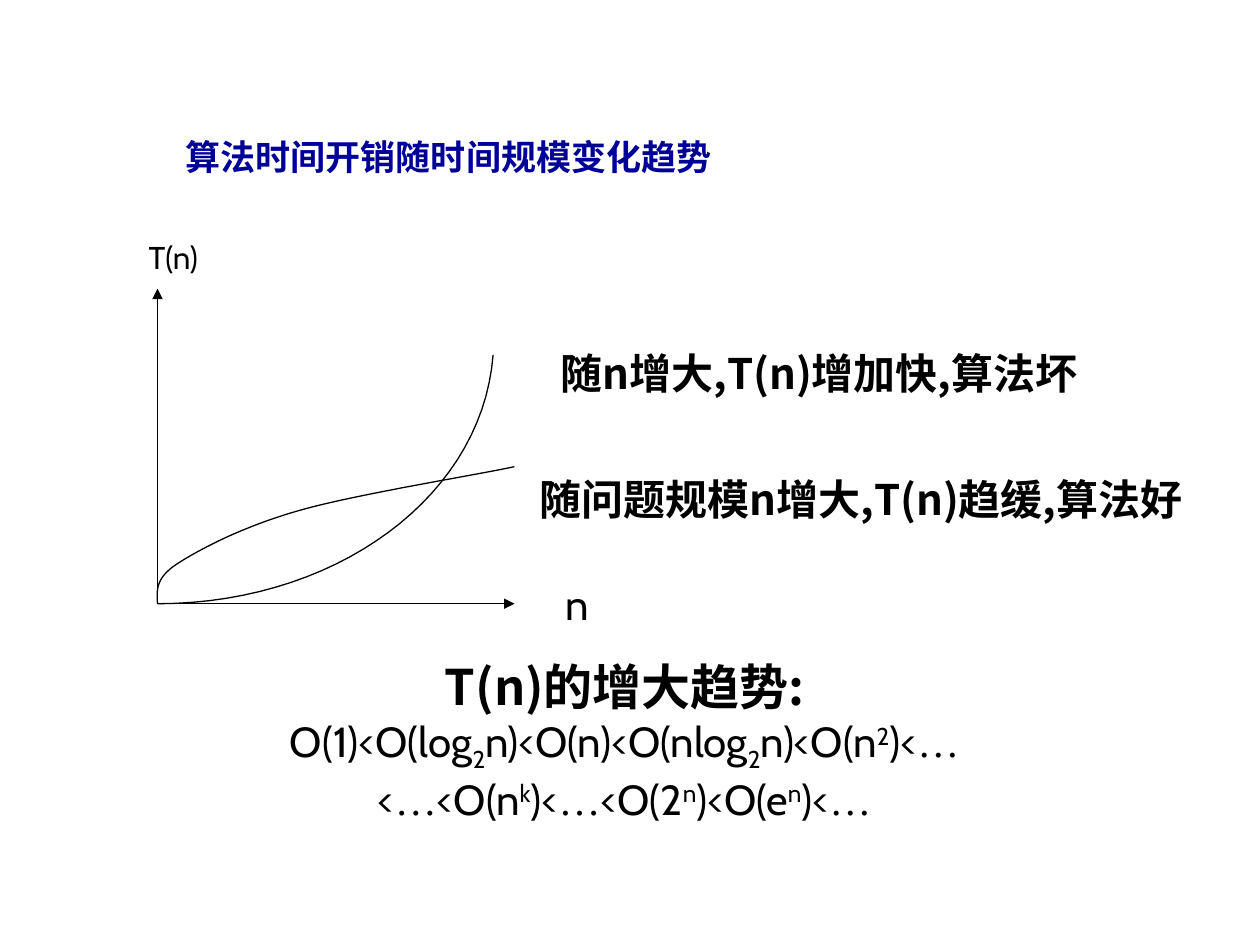
from lxml import etree
from pptx import Presentation, util as u
from pptx.dml.color import RGBColor
from pptx.enum import shapes as es, text as et
from pptx.oxml.ns import qn

NAVY = RGBColor(0x00, 0x00, 0x99)
BLACK = RGBColor(0x00, 0x00, 0x00)
WHITE = RGBColor(0xFF, 0xFF, 0xFF)
HAN, LATIN, SERIF = "Noto Sans CJK SC", "Cabin", "Times New Roman"
UNIT = u.Inches(1) / 12  # the slide is a grid of 120 columns and 90 rows
SHIFT = {"_": "-25000", "^": "30000"}


def grid(*vals):
    return [round(v * UNIT) for v in vals]


def add_run(para, words, font, size, color, bold, base=None):
    run = para.add_run()
    run.text = words
    face = run.font
    face.name, face.size, face.bold = font, u.Pt(size), bold
    face.color.rgb = color
    props = run._r.get_or_add_rPr()
    etree.SubElement(props, qn("a:ea")).set("typeface", font)
    if base:
        props.set("baseline", base)


def split(line):
    """Cut a line into (words, base, serif); _ and ^ shift the next letter."""
    parts, base = [], None
    for char in line:
        if char in SHIFT:
            base = SHIFT[char]
            continue
        key = (base, char == "…")
        if parts and parts[-1][1:] == key:
            parts[-1] = (parts[-1][0] + char, *key)
        else:
            parts.append((char, *key))
        base = None
    return parts


def add_text(slide, box, lines, size=24, font=LATIN, color=BLACK, bold=False,
             align=et.PP_ALIGN.CENTER, wrap=False, fill=None, space=None):
    """Lines are strings, or (string, changed format) pairs."""
    if fill is None:
        shape = slide.shapes.add_textbox(*grid(*box))
    else:
        shape = slide.shapes.add_shape(es.MSO_SHAPE.RECTANGLE, *grid(*box))
        shape.shadow.inherit = False
        shape.fill.solid()
        shape.fill.fore_color.rgb = shape.line.color.rgb = fill
        shape.line.width = u.Pt(0.75)
    frame = shape.text_frame
    frame.word_wrap = wrap
    frame.auto_size = et.MSO_AUTO_SIZE.NONE
    frame.vertical_anchor = et.MSO_ANCHOR.MIDDLE
    for i, line in enumerate(lines):
        words, extra = line if isinstance(line, tuple) else (line, {})
        look = {"font": font, "size": size, "color": color, "bold": bold, **extra}
        para = frame.add_paragraph() if i else frame.paragraphs[0]
        para.alignment, para.line_spacing = align, space
        for part, base, serif in split(words):
            style = {**look, "font": SERIF} if serif else look
            add_run(para, part, base=base, **style)


def add_axis(slide, start, end):
    line = slide.shapes.add_connector(
        es.MSO_CONNECTOR.STRAIGHT, *grid(*start, *end))
    line.line.color.rgb, line.line.width = BLACK, u.Pt(0.75)
    props = line._element.spPr
    etree.SubElement(props.get_or_add_ln(), qn("a:tailEnd")).set("type", "triangle")
    etree.SubElement(props, qn("a:effectLst"))


def add_curve(slide, start, arcs, steps=30):
    """Trace cubic arcs, each given as two control points and an end."""
    pts, last = [], start
    for a, b, end in arcs:
        for k in range(1, steps + 1):
            t = k / steps
            s = 1 - t
            pts.append(grid(*(
                s**3 * p + 3 * s * s * t * q + 3 * s * t * t * r + t**3 * e
                for p, q, r, e in zip(last, a, b, end))))
        last = end
    pen = slide.shapes.build_freeform(*grid(*start))
    pen.add_line_segments(pts, close=False)
    shape = pen.convert_to_shape()
    shape.shadow.inherit = False
    shape.fill.background()
    shape.line.color.rgb, shape.line.width = BLACK, u.Pt(0.75)


def add_graph(slide, box):
    left, top, wide, high = box
    base = top + high

    def at(x, y):  # share of the plot, counted from its origin
        return left + x * wide, base - y * high

    # Axes
    add_axis(slide, at(0, 0), at(0, 1))
    add_axis(slide, at(0, 0), at(1, 0))
    # Fast and slow growth
    add_curve(slide, at(0, 0), [(at(0.5, 0), at(0.91, 0.34), at(0.94, 0.79))])
    add_curve(slide, at(0, 0), [
        (at(0, 0.04), at(-0.01, 0.08), at(0.06, 0.13)),
        (at(0.13, 0.18), at(0.25, 0.25), at(0.41, 0.3)),
        (at(0.57, 0.35), at(0.9, 0.41), at(1, 0.435))])
    # Axis names
    add_text(slide, (left + wide + 2, base - 3, 8, 6), ["n"])
    add_text(slide, (left - 4, top - 6, 11, 6), ["T(n)"], size=18, fill=WHITE)
    # Curve labels
    add_text(slide, (left + wide, top + 5, 58, 6),
             ["随n增大,T(n)增加快,算法坏"], font=HAN, bold=True)
    add_text(slide, (left + wide + 1, top + 17, 64, 6),
             ["随问题规模n增大,T(n)趋缓,算法好"], font=HAN, bold=True)


def add_order(slide, box):
    add_text(slide, box, [
        ("T(n)的增大趋势:", {"font": HAN, "size": 28, "bold": True}),
        "O(1)<O(log_2n)<O(n)<O(nlog_2n)<O(n^2)<…",
        "<…<O(n^k)<…<O(2^n)<O(e^n)<…"], wrap=True)


def main():
    deck = Presentation()
    deck.slide_width, deck.slide_height = grid(120, 90)
    slide = deck.slides.add_slide(deck.slide_layouts[6])
    # Title
    add_text(slide, (16.5, 11.2, 75.6, 6.3), ["算法时间开销随时间规模变化趋势"],
             size=20, font=HAN, color=NAVY, bold=True,
             align=et.PP_ALIGN.LEFT, wrap=True, space=1.3)
    # Plot and summary
    add_graph(slide, (15, 27.5, 34, 30))
    add_order(slide, (12, 60.5, 95, 20))
    deck.save("out.pptx")


if __name__ == "__main__":
    main()
